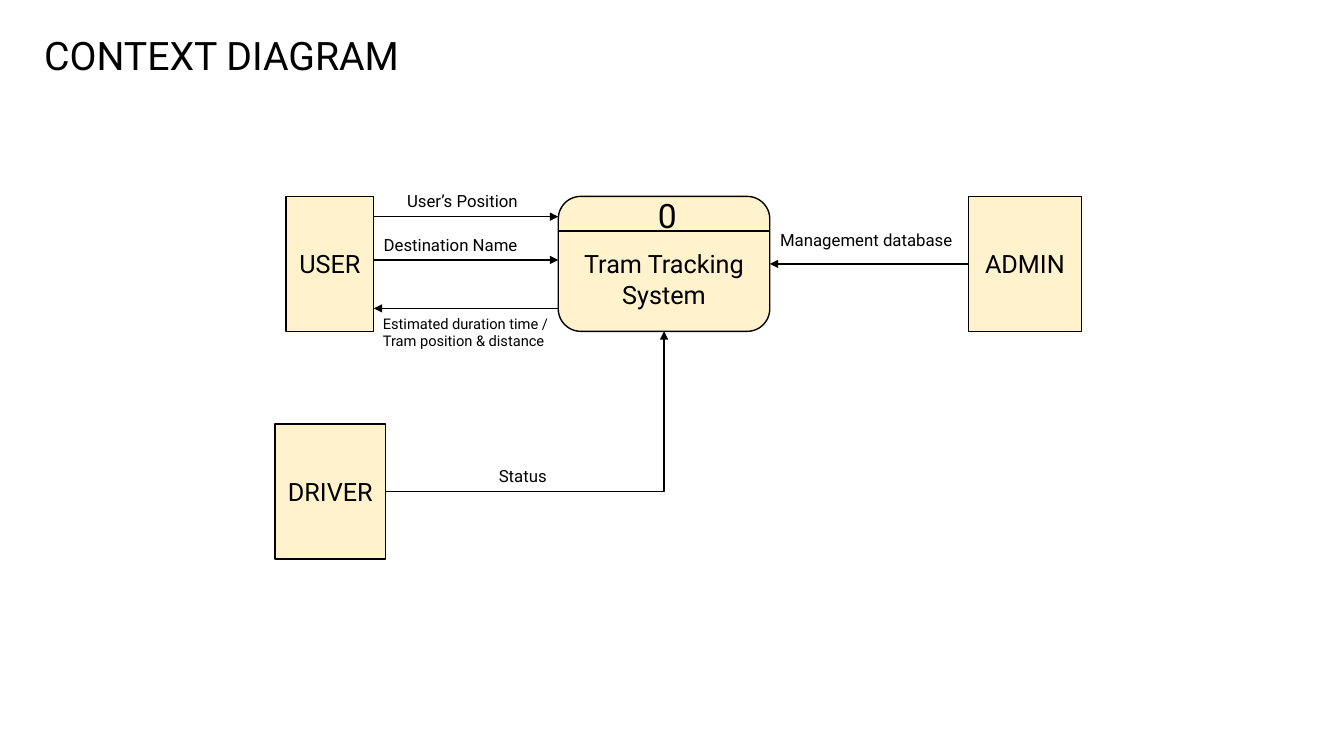
from lxml import etree
from pptx import Presentation
from pptx.dml.color import RGBColor
from pptx.enum.shapes import MSO_CONNECTOR, MSO_SHAPE
from pptx.enum.text import MSO_ANCHOR, MSO_AUTO_SIZE, PP_ALIGN
from pptx.oxml.ns import qn
from pptx.util import Cm, Pt

RECT, ROUND = MSO_SHAPE.RECTANGLE, MSO_SHAPE.ROUNDED_RECTANGLE
STRAIGHT, ELBOW = MSO_CONNECTOR.STRAIGHT, MSO_CONNECTOR.ELBOW
LEFT, CENTER = PP_ALIGN.LEFT, PP_ALIGN.CENTER
MIDDLE, FIXED = MSO_ANCHOR.MIDDLE, MSO_AUTO_SIZE.NONE

FONT = "Roboto"
COLORS = {"ink": "000000", "box": "FFF2CC"}

TITLE = "CONTEXT DIAGRAM"
TOP, HIGH = 4.95, 3.4
# text: shape, left, top, width (cm)
BOXES = {
    "USER": (RECT, 7.21, TOP, 2.21),
    "Tram Tracking System": (ROUND, 14.07, TOP, 5.33),
    "ADMIN": (RECT, 24.41, TOP, 2.84),
    "DRIVER": (RECT, 6.93, 10.69, 2.79),
}
# lines of text, size, left, top, width, height (cm)
LABELS = [
    (["0"], 24, 16.33, 4.78, 0.79, 1.27),
    (["User’s Position"], 12, 10.01, 4.67, 3.48, 0.76),
    (["Destination Name"], 12, 9.42, 5.79, 4.65, 0.76),
    (["Estimated duration time /", "Tram position & distance"],
     10.5, 9.4, 7.8, 4.93, 1.19),
    (["Management database"], 12, 19.41, 5.66, 5.33, 0.76),
    (["Status"], 12, 12.32, 11.61, 1.83, 0.76),
]
# height of each flow between user and system, and whether it goes to the system
FLOWS = [(5.46, True), (6.55, True), (7.77, False)]
RULE_Y = 5.82
SITE_LEFT, SITE_BOTTOM, SITE_RIGHT = 1, 2, 3


def paint(color):
    return RGBColor.from_string(COLORS[color])


def write(frame, lines, size, align=LEFT):
    frame.word_wrap = True
    frame.auto_size = FIXED
    frame.text = "\n".join(lines)
    for para in frame.paragraphs:
        para.alignment = align
        para.font.name = FONT
        para.font.size = Pt(size)
        para.font.color.rgb = paint("ink")


def add_box(slide, text, kind, left, top, width):
    box = slide.shapes.add_shape(kind, Cm(left), Cm(top), Cm(width), Cm(HIGH))
    box.shadow.inherit = False
    box.fill.solid()
    box.fill.fore_color.rgb = paint("box")
    box.line.color.rgb = paint("ink")
    box.line.width = Pt(1)
    write(box.text_frame, [text], 18, CENTER)
    box.text_frame.vertical_anchor = MIDDLE
    return box


def add_line(slide, start, end, kind=STRAIGHT, arrow=True):
    line = slide.shapes.add_connector(kind, *start, *end)
    line.line.color.rgb = paint("ink")
    line.line.width = Pt(1)
    if arrow:
        stroke = line.line._get_or_add_ln()
        etree.SubElement(stroke, qn("a:tailEnd"), type="triangle")
    etree.SubElement(line.element.spPr, qn("a:effectLst"))
    return line


def main():
    prs = Presentation()
    prs.slide_width, prs.slide_height = Cm(33.87), Cm(19.05)
    slide = prs.slides.add_slide(prs.slide_layouts[5])

    title = slide.shapes.title
    title.left, title.top = Cm(0.86), Cm(0.66)
    title.width, title.height = Cm(10.8), Cm(1.45)
    write(title.text_frame, [TITLE], 28)

    user, system, admin, driver = [
        add_box(slide, text, *place) for text, place in BOXES.items()]
    # keep the name clear of the number above the rule
    system.text_frame.margin_top = Cm(0.89)

    near, far = user.left + user.width, system.left
    edge = system.left + system.width
    add_line(slide, (far, Cm(RULE_Y)), (edge, Cm(RULE_Y)), arrow=False)
    for y, inward in FLOWS:
        ends = [(near, Cm(y)), (far, Cm(y))]
        add_line(slide, *(ends if inward else ends[::-1]))

    mid = system.top + system.height // 2
    manage = add_line(slide, (admin.left, mid), (edge, mid))
    manage.begin_connect(admin, SITE_LEFT)
    manage.end_connect(system, SITE_RIGHT)

    start = (driver.left + driver.width, driver.top + driver.height // 2)
    end = (system.left + system.width // 2, system.top + system.height)
    status = add_line(slide, start, end, ELBOW)
    status.element.spPr.find(qn("a:prstGeom")).set("prst", "bentConnector2")
    status.begin_connect(driver, SITE_RIGHT)
    status.end_connect(system, SITE_BOTTOM)

    for lines, size, *place in LABELS:
        label = slide.shapes.add_textbox(*map(Cm, place))
        write(label.text_frame, lines, size)

    prs.save("out.pptx")


if __name__ == "__main__":
    main()
